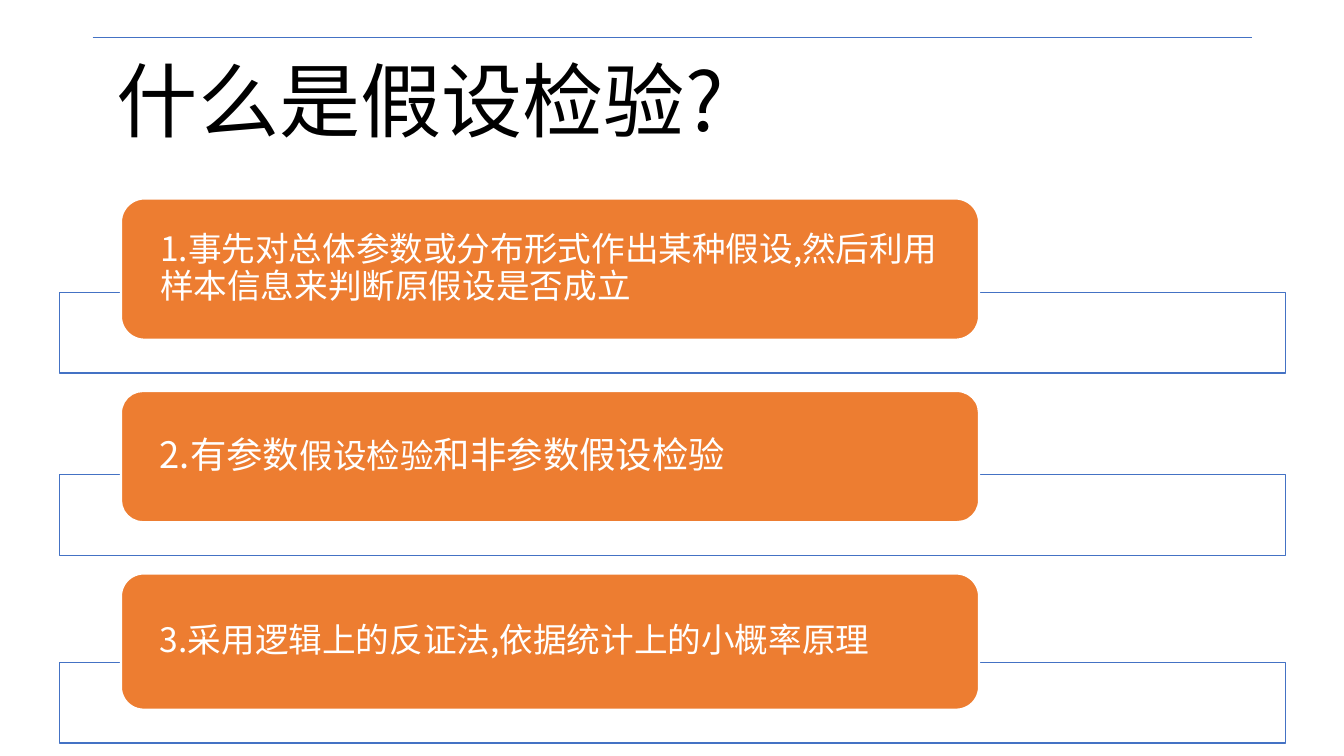
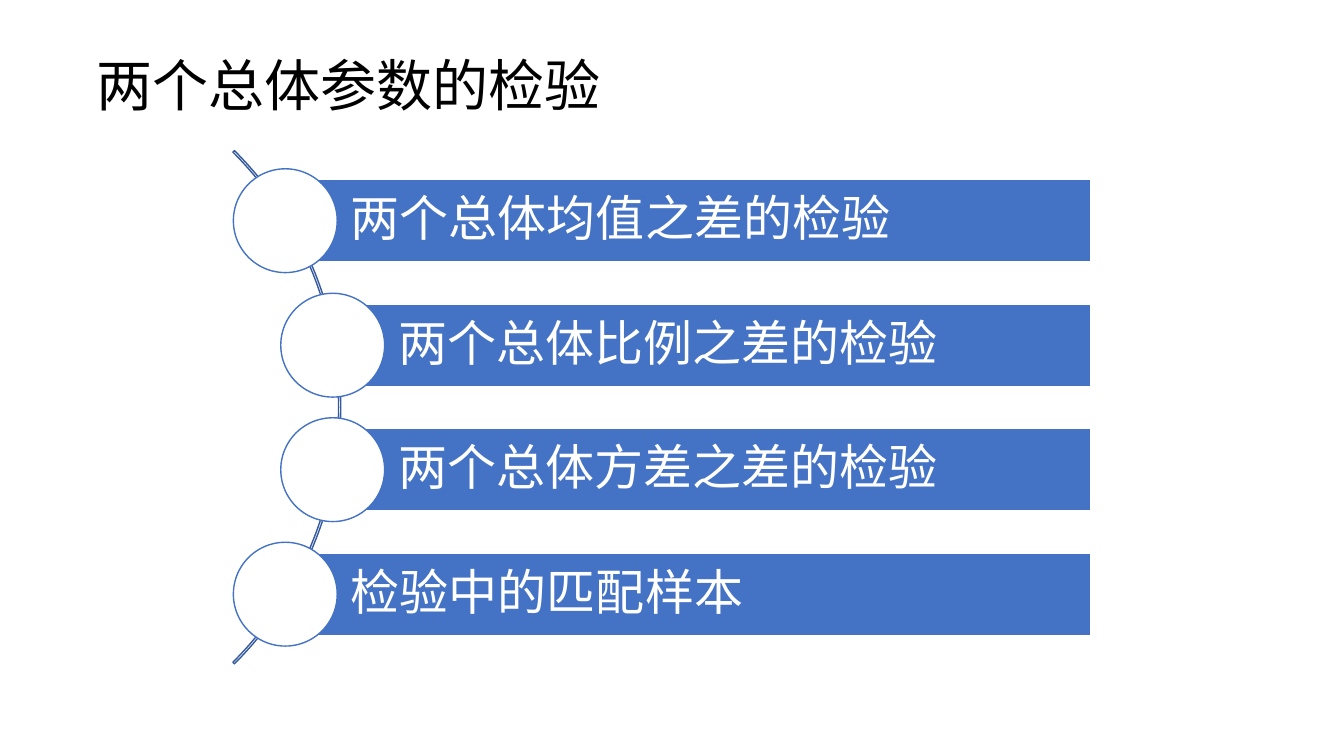
from lxml.etree import SubElement
from pptx import Presentation
from pptx.dml.color import RGBColor
from pptx.enum.shapes import MSO_CONNECTOR, MSO_SHAPE
from pptx.enum.text import MSO_ANCHOR, PP_ALIGN
from pptx.oxml.ns import qn
from pptx.util import Inches, Pt

FONT = "Noto Sans CJK SC"
COLORS = {
    "text": "000000",
    "white": "FFFFFF",
    "blue": "4472C4",
    "dark_blue": "365B9D",
    "orange": "ED7D31",
}


def color(name):
    return RGBColor.from_string(COLORS[name])


def add_slide(deck):
    return deck.slides.add_slide(deck.slide_layouts[6])


def add_shape(page, kind, left, top, width, height, fill, line, weight=1):
    shape = page.shapes.add_shape(
        kind, Inches(left), Inches(top), Inches(width), Inches(height)
    )
    shape.shadow.inherit = False
    if fill:
        shape.fill.solid()
        shape.fill.fore_color.rgb = color(fill)
    else:
        shape.fill.background()
    shape.line.color.rgb = color(line)
    shape.line.width = Pt(weight)
    return shape


def set_transparency(shape, opacity):
    fill = shape.fill._xPr.find(qn("a:solidFill"))
    SubElement(fill[0], qn("a:alpha"), val=str(opacity * 1000))


def write_text(shape, spans, size, ink, insets, anchor=MSO_ANCHOR.MIDDLE, spacing=0.9):
    frame = shape.text_frame
    frame.word_wrap = True
    frame.vertical_anchor = anchor
    frame.margin_left, frame.margin_top, frame.margin_right, frame.margin_bottom = map(
        Inches, insets
    )
    para = frame.paragraphs[0]
    para.alignment = PP_ALIGN.LEFT
    para.line_spacing = spacing
    para.font.size = Pt(size)
    para.font.color.rgb = color(ink)
    para.font.name = FONT
    defaults = para._p.pPr.find(qn("a:defRPr"))
    SubElement(defaults, qn("a:ea"), typeface=FONT)
    for text, span_size in spans:
        span = para.add_run()
        span.text = text
        if span_size != size:
            span.font.size = Pt(span_size)


def add_title(page, text, left, top, width, height, size, insets, spacing):
    box = page.shapes.add_textbox(
        Inches(left), Inches(top), Inches(width), Inches(height)
    )
    write_text(box, [(text, size)], size, "text", insets, MSO_ANCHOR.TOP, spacing)


def add_rule(page, left, top, width):
    rule = page.shapes.add_connector(
        MSO_CONNECTOR.STRAIGHT,
        Inches(left), Inches(top), Inches(left + width), Inches(top),
    )
    rule.line.color.rgb = color("blue")
    rule.line.width = Pt(1)
    SubElement(rule._element.spPr, qn("a:effectLst"))


def add_card(page, top, height, spans):
    overlap, frame_height, gap = 0.47, 0.8, 0.18
    frame_top = top + height - overlap
    frame = add_shape(
        page, MSO_SHAPE.RECTANGLE, 0.59, frame_top, 12.16, frame_height, "white", "blue"
    )
    set_transparency(frame, 90)
    card = add_shape(
        page, MSO_SHAPE.ROUNDED_RECTANGLE, 1.2, top, 8.51, height, "orange", "white", 1.5
    )
    write_text(card, spans, 24, "white", (0.32, 0, 0.32, 0))
    return frame_top + frame_height + gap


def add_bullet_bar(page, left, middle, text):
    right, height, diameter = 10.82, 0.82, 1.03
    bar = add_shape(
        page, MSO_SHAPE.RECTANGLE,
        left, middle - height / 2, right - left, height, "blue", "white",
    )
    write_text(bar, [(text, 35)], 35, "white", (0.65, 0.1, 0.1, 0.1))
    add_shape(
        page, MSO_SHAPE.OVAL,
        left - diameter / 2, middle - diameter / 2, diameter, diameter, "white", "blue",
    )


def build_definition(deck):
    page = add_slide(deck)
    add_rule(page, 0.92, 0.37, 11.5)
    add_title(page, "什么是假设检验?", 0.92, 0.37, 11.5, 1.45, 58, (0.24,) * 4, 0.9)
    cards = [
        (1.4, [("1.事先对总体参数或分布形式作出某种假设,然后利用样本信息来判断原假设是否成立", 24)]),
        (1.3, [("2.有参数", 26), ("假设检验", 24), ("和非参数假设检验", 26)]),
        (1.35, [("3.采用逻辑上的反证法,依据统计上的小概率原理", 24)]),
    ]
    top = 1.97
    for height, spans in cards:
        top = add_card(page, top, height, spans)


def build_two_populations(deck):
    page = add_slide(deck)
    arc = add_shape(
        page, MSO_SHAPE.BLOCK_ARC, -3.82, 0.44, 7.2, 7.2, None, "dark_blue"
    )
    for index, value in enumerate((189, 27, 0.003)):
        arc.adjustments[index] = value
    bars = [
        (2.83, "两个总体均值之差的检验"),
        (3.3, "两个总体比例之差的检验"),
        (3.3, "两个总体方差之差的检验"),
        (2.83, "检验中的匹配样本"),
    ]
    first_middle, pitch = 2.19, 1.235
    for index, (left, text) in enumerate(bars):
        add_bullet_bar(page, left, first_middle + index * pitch, text)
    add_title(
        page, "两个总体参数的检验", 0.86, 0.45, 10.03, 0.77, 40, (0.1, 0.05, 0.1, 0.05), 1.0
    )


def main():
    deck = Presentation()
    deck.slide_width = Inches(13.33)
    deck.slide_height = Inches(7.5)
    build_definition(deck)
    build_two_populations(deck)
    deck.save("out.pptx")


main()
